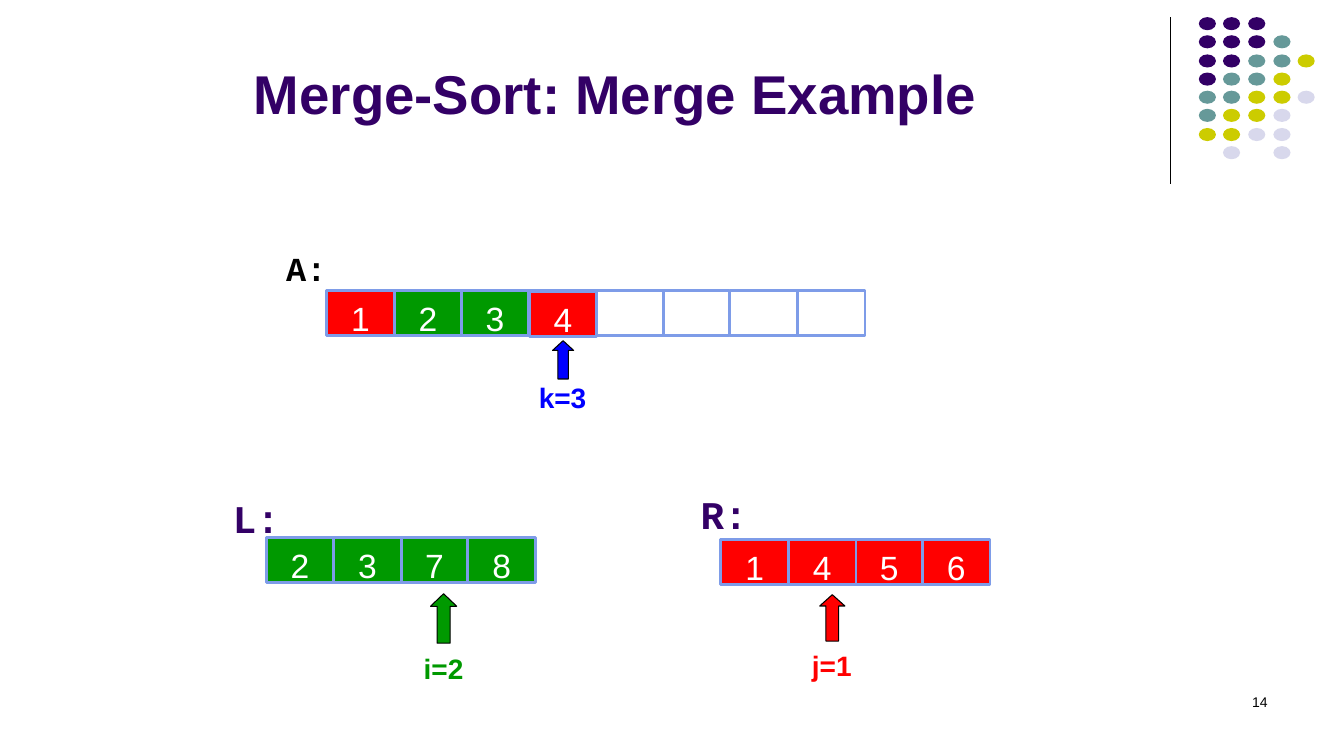
from pptx import Presentation
from pptx.dml.color import RGBColor
from pptx.enum.shapes import MSO_CONNECTOR, MSO_SHAPE
from pptx.enum.text import MSO_ANCHOR, PP_ALIGN
from pptx.oxml.ns import qn
from pptx.util import Emu, Pt

ELLIPSE, RECTANGLE, UP_ARROW = MSO_SHAPE.OVAL, MSO_SHAPE.RECTANGLE, MSO_SHAPE.UP_ARROW
STRAIGHT = MSO_CONNECTOR.STRAIGHT
TOP, BOTTOM = MSO_ANCHOR.TOP, MSO_ANCHOR.BOTTOM
LEFT, CENTER, RIGHT = PP_ALIGN.LEFT, PP_ALIGN.CENTER, PP_ALIGN.RIGHT

EMU_PER_PX = 9144  # 100 px to the inch
PURPLE, TEAL, OLIVE, LILAC = "330066", "669999", "CCCC00", "D8D8EC"
RED, GREEN, BLUE = "FF0000", "009900", "0000FF"
BLACK, WHITE, CELL_EDGE = "000000", "FFFFFF", "7E9CE8"
SANS, MONO = "Arial", "Courier New"

DOT_COLORS = {"P": PURPLE, "T": TEAL, "O": OLIVE, "L": LILAC}
DOT_ROWS = ["PPP", "PPPT", "PPTTO", "PTTO", "TTOOL", "TOOL", "OOLL", " L L"]


def px(length):
    return Emu(length * EMU_PER_PX)


def color(hex_code):
    return RGBColor.from_string(hex_code)


def write(box, text, size, hex_code, font=SANS, bold=False, align=LEFT,
          anchor=TOP, insets=(10, 5, 10, 5), wrap=True):
    frame = box.text_frame
    frame.word_wrap = wrap
    frame.vertical_anchor = anchor
    (frame.margin_left, frame.margin_top,
     frame.margin_right, frame.margin_bottom) = map(px, insets)
    para = frame.paragraphs[0]
    para.text = text
    para.alignment = align
    para.font.name = font
    para.font.size = Pt(size)
    para.font.bold = bold
    para.font.color.rgb = color(hex_code)


def add_text(page, box, text, size, hex_code, **style):
    write(page.shapes.add_textbox(*map(px, box)), text, size, hex_code, **style)


def add_block(page, kind, box, fill, edge=None, edge_width=0.75):
    shape = page.shapes.add_shape(kind, *map(px, box))
    shape.shadow.inherit = False
    shape.fill.solid()
    shape.fill.fore_color.rgb = color(fill)
    if edge:
        shape.line.color.rgb = color(edge)
        shape.line.width = Pt(edge_width)
    else:
        shape.line.fill.background()
    return shape


def add_corner(page, box):
    """Vertical rule with the dot pattern to its right."""
    left, top, width, height = box
    rule = page.shapes.add_connector(
        STRAIGHT, px(left), px(top), px(left), px(top + height))
    rule.line.color.rgb = color(BLACK)
    rule.line.width = Pt(0.75)
    properties = rule._element.spPr
    properties.append(properties.makeelement(qn("a:effectLst"), {}))

    dot_width, dot_height, gap = 17, 13, 28
    column_step = (width - gap - dot_width) / 4
    row_step = 128 / 7
    for row, codes in enumerate(DOT_ROWS):
        for column, code in enumerate(codes):
            if code in DOT_COLORS:
                dot_left = left + gap + round(column * column_step)
                dot_top = top + round(row * row_step)
                add_block(page, ELLIPSE, (dot_left, dot_top, dot_width, dot_height),
                          DOT_COLORS[code])


def add_array(page, box, cells):
    """Row of equal cells, each given as (text, fill)."""
    left, top, width, height = box
    edges = [left + round(width * i / len(cells)) for i in range(len(cells) + 1)]
    for start, end, (text, fill) in zip(edges, edges[1:], cells):
        cell = add_block(page, RECTANGLE, (start, top, end - start, height),
                         fill, CELL_EDGE, 2)
        if text:
            write(cell, text, 24, WHITE, align=CENTER, insets=(10, 8, 10, 0))


def add_pointer(page, box, text, label_top, fill, head):
    """Up arrow with its index label centred below."""
    left, top, width, height = box
    arrow = add_block(page, UP_ARROW, box, fill, BLACK)
    arrow.adjustments[0] = 0.5
    arrow.adjustments[1] = head
    label_width = 80
    label_left = left + (width - label_width) // 2
    add_text(page, (label_left, label_top, label_width, 43), text, 20, fill,
             bold=True, align=CENTER, insets=(0, 5, 0, 5))


def add_merge_example(page):
    # Merged array
    add_text(page, (274, 241, 69, 51), "A:", 24, BLACK, font=MONO, bold=True, wrap=False)
    merged = [("1", RED), ("2", GREEN), ("3", GREEN)] + [("", WHITE)] * 5
    add_array(page, (324, 288, 534, 45), merged)
    add_array(page, (525, 289, 67, 45), [("4", RED)])
    add_pointer(page, (548, 338, 21, 38), "k=3", 373, BLUE, 0.46)

    # Left half
    add_text(page, (231, 485, 47, 57), "L:", 28, PURPLE, font=MONO, bold=True,
             insets=(0, 5, 0, 5), wrap=False)
    add_array(page, (264, 533, 267, 45), [(digit, GREEN) for digit in "2378"])
    add_pointer(page, (427, 589, 26, 49), "i=2", 641, GREEN, 0.48)

    # Right half
    add_text(page, (695, 482, 47, 57), "R:", 28, PURPLE, font=MONO, bold=True,
             insets=(0, 5, 0, 5), wrap=False)
    add_array(page, (715, 535, 267, 45), [(digit, RED) for digit in "1456"])
    add_pointer(page, (813, 590, 25, 46), "j=1", 638, RED, 0.45)


def main():
    deck = Presentation()
    deck.slide_width, deck.slide_height = px(1333), px(750)
    page = deck.slides.add_slide(deck.slide_layouts[6])

    # Frame of the slide
    add_corner(page, (1161, 17, 143, 166))
    add_text(page, (956, 683, 311, 50), "14", 10, BLACK, align=RIGHT)
    add_text(page, (242, 4, 850, 125), "Merge-Sort: Merge Example", 39, PURPLE,
             bold=True, anchor=BOTTOM)

    add_merge_example(page)
    deck.save("out.pptx")


if __name__ == "__main__":
    main()
